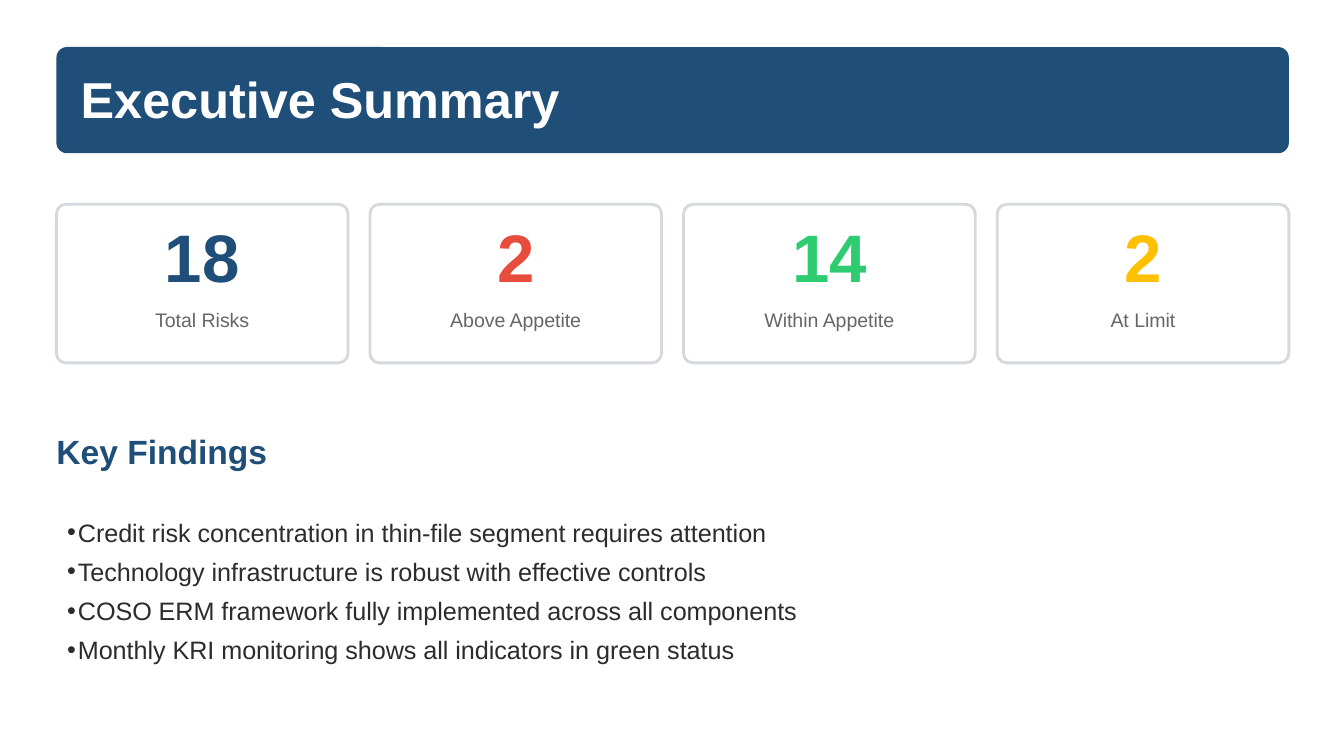
import pptx
import pptx.util
import pptx.dml.color
import pptx.enum.shapes
import pptx.enum.text
import pptx.oxml
import pptx.oxml.ns

Inches = pptx.util.Inches
Pt = pptx.util.Pt
RGBColor = pptx.dml.color.RGBColor
Align = pptx.enum.text.PP_ALIGN

NAVY = RGBColor(0x1F, 0x4E, 0x78)
RED = RGBColor(0xE7, 0x4C, 0x3C)
GREEN = RGBColor(0x2E, 0xCC, 0x71)
AMBER = RGBColor(0xFF, 0xC0, 0x00)
WHITE = RGBColor(0xFF, 0xFF, 0xFF)
EDGE = RGBColor(0xD5, 0xD8, 0xDC)
GREY = RGBColor(0x66, 0x66, 0x66)
INK = RGBColor(0x2C, 0x2C, 0x2C)

WIDE = 10
HIGH = WIDE * 9 / 16
LEFT = 0.42
WIDTH = 9.17
CARD = 2.17
INSET = 0.17
CARDS = [
    ("18", "Total Risks", NAVY),
    ("2", "Above Appetite", RED),
    ("14", "Within Appetite", GREEN),
    ("2", "At Limit", AMBER),
]
POINTS = [
    "Credit risk concentration in thin-file segment requires attention",
    "Technology infrastructure is robust with effective controls",
    "COSO ERM framework fully implemented across all components",
    "Monthly KRI monitoring shows all indicators in green status",
]


class Deck:
    font = "Arial"

    def __init__(self, wide, high):
        self.show = pptx.Presentation()
        self.show.slide_width = Inches(wide)
        self.show.slide_height = Inches(high)
        self.slide = self.show.slides.add_slide(self.show.slide_layouts[1])

    def place(self, shape, box):
        shape.left, shape.top, shape.width, shape.height = map(Inches, box)
        shape.element.getparent().append(shape.element)

    def style(self, frame, lines, size, color, lead, bold=False,
              align=Align.LEFT, before=0, after=0, inset=0):
        frame.text = "\n".join(lines)
        frame.word_wrap = True
        frame.auto_size = pptx.enum.text.MSO_AUTO_SIZE.NONE
        frame.vertical_anchor = pptx.enum.text.MSO_ANCHOR.TOP
        frame.margin_left = Inches(inset)
        frame.margin_top = frame.margin_right = frame.margin_bottom = 0
        for para in frame.paragraphs:
            para.alignment = align
            para.line_spacing = Pt(lead)
            para.space_before = Pt(before)
            para.space_after = Pt(after)
            for run in para.runs:
                run.font.name = self.font
                run.font.size = Pt(size)
                run.font.bold = bold
                run.font.color.rgb = color

    def panel(self, box, round, fill, line=None):
        shape = self.slide.shapes.add_shape(
            pptx.enum.shapes.MSO_SHAPE.ROUNDED_RECTANGLE, *map(Inches, box))
        shape.adjustments[0] = round
        shape.shadow.inherit = False
        shape.fill.solid()
        shape.fill.fore_color.rgb = fill
        if line is None:
            shape.line.fill.background()
        else:
            shape.line.color.rgb = line
            shape.line.width = Pt(1.5)

    def label(self, box, text, *args, **opts):
        shape = self.slide.shapes.add_textbox(*map(Inches, box))
        self.style(shape.text_frame, [text], *args, **opts)

    def title(self, box, text):
        shape = self.slide.shapes.title
        self.place(shape, box)
        self.style(shape.text_frame, [text], 27, WHITE, 30, bold=True)

    def card(self, left, top, count, name, color):
        self.panel((left, top, CARD, 1.18), 0.06, WHITE, EDGE)
        inner = CARD - 2 * INSET
        self.label((left + INSET, top + 0.18, inner, 0.5), count,
                   36, color, 36, bold=True, align=Align.CENTER)
        self.label((left + INSET, top + 0.74, inner, 0.21), name,
                   10.5, GREY, 15, align=Align.CENTER, before=3.8, after=3)

    def bullets(self, box, lines):
        shape = self.slide.placeholders[1]
        self.place(shape, box)
        self.style(shape.text_frame, lines, 13.5, INK, 21, inset=0.08)
        for para in shape.text_frame.paragraphs:
            props = para._p.get_or_add_pPr()
            props.set("marL", str(Inches(0.08)))
            props.set("indent", str(-Inches(0.08)))
            mark = pptx.oxml.parse_xml(
                f'<a:buChar {pptx.oxml.ns.nsdecls("a")} char="•"/>')
            props.append(mark)


def main():
    deck = Deck(WIDE, HIGH)
    deck.panel((LEFT, 0.35, WIDTH, 0.79), 0.1, NAVY)
    deck.title((0.6, 0.54, 4.49, 0.42), "Executive Summary")
    step = (WIDTH - CARD) / (len(CARDS) - 1)
    for spot, (count, name, color) in enumerate(CARDS):
        deck.card(LEFT + spot * step, 1.52, count, name, color)
    deck.label((LEFT, 3.17, 4.69, 0.33), "Key Findings",
               18, NAVY, 24, bold=True, before=9, after=7.5)
    deck.bullets((LEFT, 3.78, WIDTH, 1.29), POINTS)
    deck.show.save("out.pptx")


if __name__ == "__main__":
    main()
